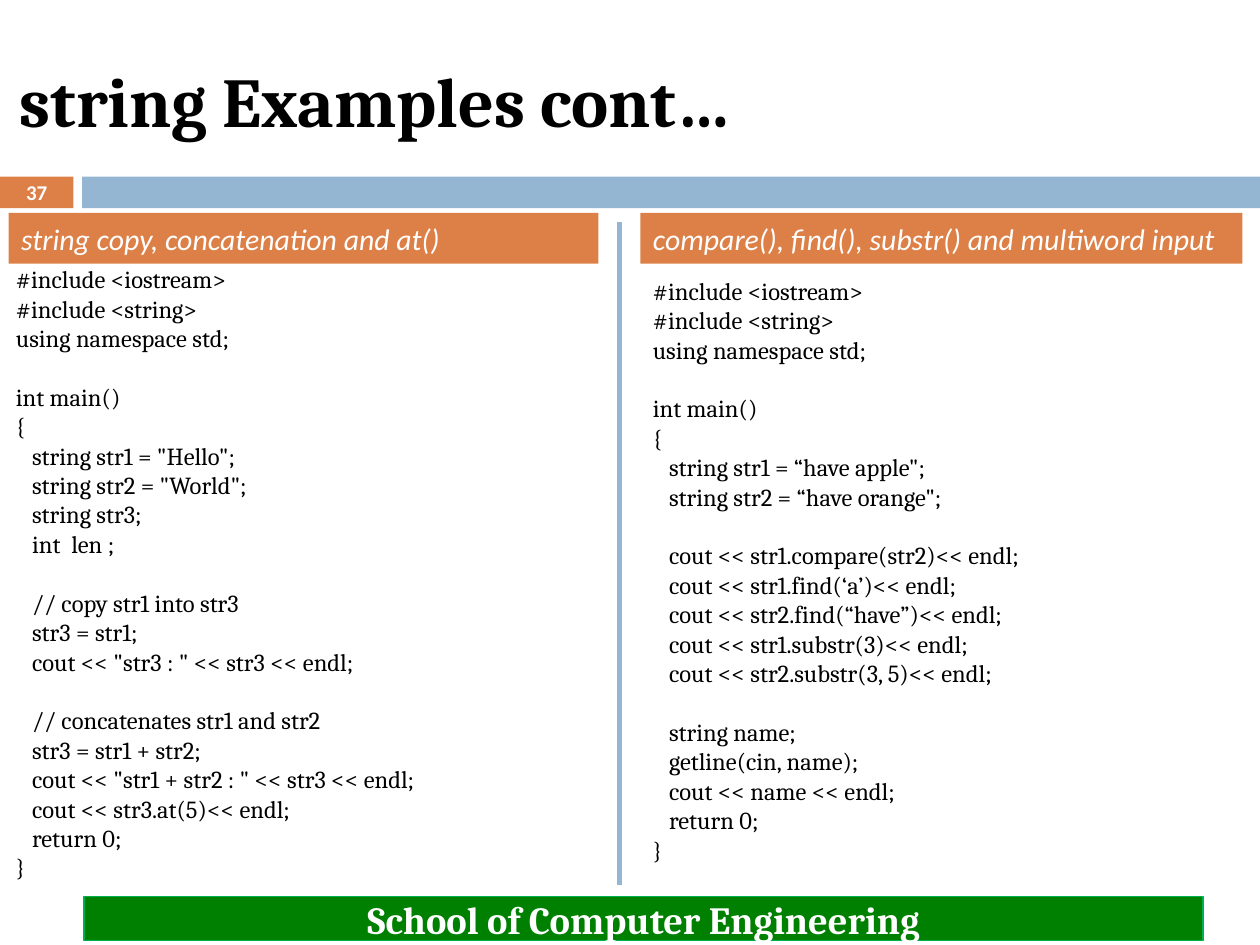
from lxml import etree
from pptx import Presentation
from pptx.dml.color import RGBColor
from pptx.enum.shapes import MSO_CONNECTOR, MSO_SHAPE
from pptx.enum.text import MSO_ANCHOR, MSO_AUTO_SIZE, PP_ALIGN
from pptx.oxml.ns import qn
from pptx.util import Pt

RECTANGLE = MSO_SHAPE.RECTANGLE
STRAIGHT = MSO_CONNECTOR.STRAIGHT
TOP, MIDDLE = MSO_ANCHOR.TOP, MSO_ANCHOR.MIDDLE
LEFT, CENTER, JUSTIFY = PP_ALIGN.LEFT, PP_ALIGN.CENTER, PP_ALIGN.JUSTIFY
NO_FIT = MSO_AUTO_SIZE.NONE

COLORS = {
    "orange": "DD8047",
    "blue": "94B6D2",
    "green": "008000",
    "green_edge": "00B050",
    "black": "000000",
    "white": "FFFFFF",
}

TITLE_FONT = {"name": "Cambria", "size": Pt(40), "bold": True}
NUMBER_FONT = {"name": "Calibri", "size": Pt(12), "bold": True}
FOOTER_FONT = {"name": "Cambria", "size": Pt(22), "bold": True}
HEADING_FONT = {"name": "Calibri", "size": Pt(17), "italic": True}
CODE_FONT = {"name": "Cambria", "size": Pt(14)}

COPY_CODE = """#include <iostream>
#include <string>
using namespace std;

int main()
{
   string str1 = "Hello";
   string str2 = "World";
   string str3;
   int  len ;

   // copy str1 into str3
   str3 = str1;
   cout << "str3 : " << str3 << endl;

   // concatenates str1 and str2
   str3 = str1 + str2;
   cout << "str1 + str2 : " << str3 << endl;
   cout << str3.at(5)<< endl;
   return 0;
}"""

COMPARE_CODE = """#include <iostream>
#include <string>
using namespace std;

int main()
{
   string str1 = “have apple";
   string str2 = “have orange";

   cout << str1.compare(str2)<< endl;
   cout << str1.find(‘a’)<< endl;
   cout << str2.find(“have”)<< endl;
   cout << str1.substr(3)<< endl;
   cout << str2.substr(3, 5)<< endl;

   string name;
   getline(cin, name);
   cout << name << endl;
   return 0;
}"""


def rgb(color):
    return RGBColor.from_string(COLORS[color])


def points(*lengths):
    return [Pt(length) for length in lengths]


def write_text(box, text, font, color, align, anchor):
    frame = box.text_frame
    frame.word_wrap = True
    frame.auto_size = NO_FIT
    frame.vertical_anchor = anchor
    for index, line in enumerate(text.split("\n")):
        para = frame.add_paragraph() if index else frame.paragraphs[0]
        para.alignment = align
        if not line:
            end = etree.SubElement(para._p, qn("a:endParaRPr"))
            end.set("sz", str(int(font["size"].pt * 100)))
            etree.SubElement(end, qn("a:latin")).set("typeface", font["name"])
            continue
        span = para.add_run()
        span.text = line
        for name, value in font.items():
            setattr(span.font, name, value)
        span.font.color.rgb = rgb(color)


def add_bar(page, left, top, width, height, fill, edge=None):
    bar = page.shapes.add_shape(RECTANGLE, *points(left, top, width, height))
    bar.shadow.inherit = False
    bar.fill.solid()
    bar.fill.fore_color.rgb = rgb(fill)
    if edge:
        bar.line.color.rgb = rgb(edge)
        bar.line.width = Pt(0.75)
    else:
        bar.line.fill.background()
    return bar


def add_title(page, left, top, width, height):
    title = page.shapes.title
    title.left, title.top, title.width, title.height = points(left, top, width, height)
    write_text(title, "string Examples cont…", TITLE_FONT, "black", LEFT, MIDDLE)


def add_number_band(page, left, top, width, height):
    number_width, gap = 42, 5
    number = add_bar(page, left, top, number_width, height, "orange")
    write_text(number, "37", NUMBER_FONT, "white", CENTER, MIDDLE)
    offset = number_width + gap
    add_bar(page, left + offset, top, width - offset, height, "blue")


def add_code(page, left, top, width, height, code):
    box = page.shapes.add_textbox(*points(left, top, width, height))
    write_text(box, code, CODE_FONT, "black", JUSTIFY, TOP)


def add_heading(page, left, top, width, height, heading):
    bar = add_bar(page, left, top, width, height, "orange")
    write_text(bar, heading, HEADING_FONT, "white", LEFT, MIDDLE)


def add_divider(page, left, top, height):
    divider = page.shapes.add_connector(STRAIGHT, *points(left, top, left, top + height))
    divider.line.color.rgb = rgb("blue")
    divider.line.width = Pt(2.5)
    etree.SubElement(divider._element.spPr, qn("a:effectLst"))


def add_footer(page, left, top, width, height):
    bar = add_bar(page, left, top, width, height, "green", "green_edge")
    write_text(bar, "School of Computer Engineering", FOOTER_FONT, "white", CENTER, MIDDLE)


def main():
    deck = Presentation()
    deck.slide_width, deck.slide_height = points(720, 540)
    page = deck.slides.add_slide(deck.slide_layouts[5])
    add_title(page, 4, 18, 642, 78)
    add_number_band(page, 0, 101, 720, 18)
    add_footer(page, 48, 512.5, 639.5, 25)
    add_code(page, 2, 147.4, 294, 363.5, COPY_CODE)
    add_heading(page, 5, 121.7, 337, 29, "string copy, concatenation and at()")
    add_code(page, 366, 154, 294, 346, COMPARE_CODE)
    add_heading(page, 366, 121.7, 344, 29, "compare(), find(), substr() and multiword input")
    add_divider(page, 354, 127, 379)
    deck.save("out.pptx")


if __name__ == "__main__":
    main()
